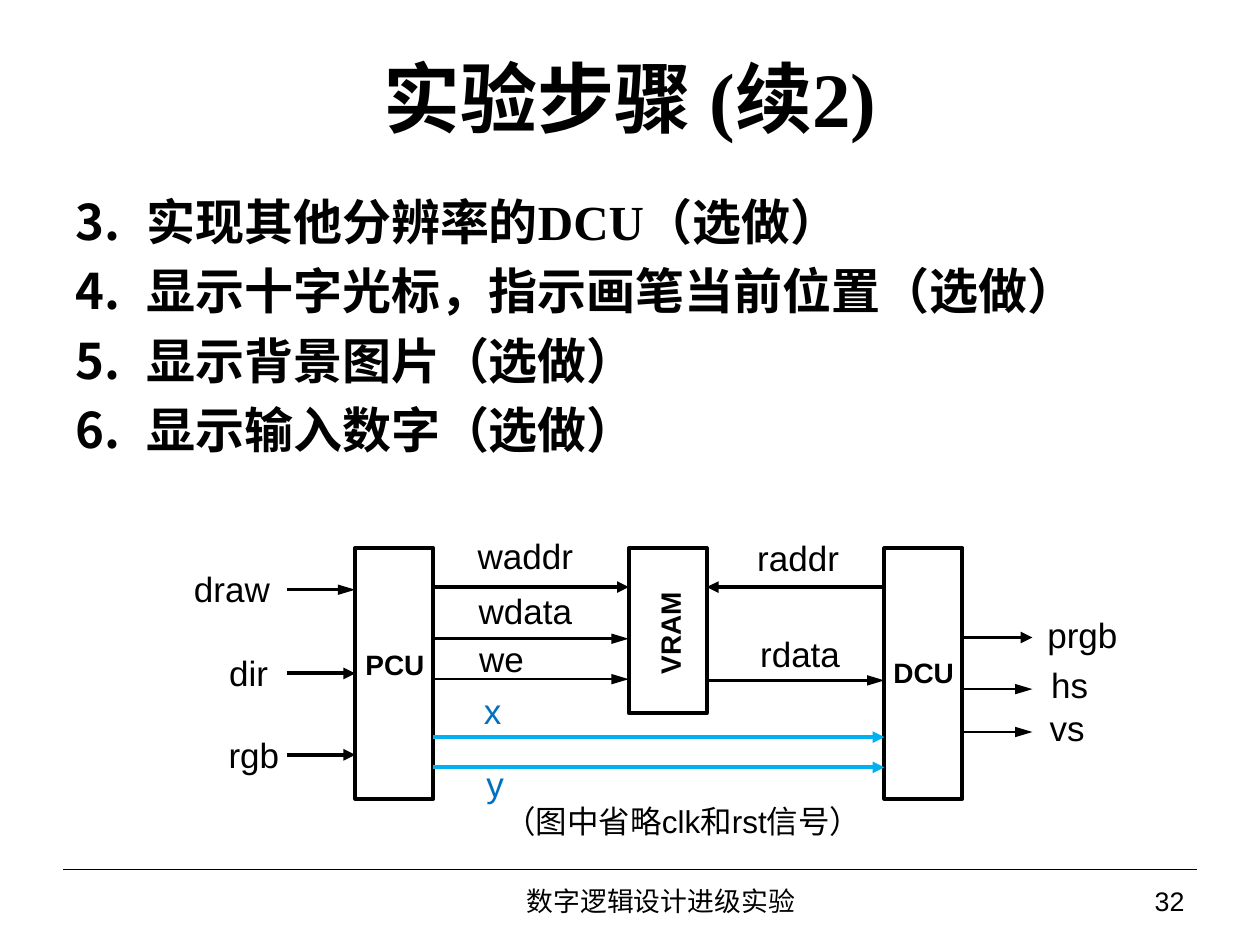
from lxml.etree import SubElement as Sub
from pptx import Presentation
from pptx.dml.color import RGBColor
from pptx.enum.shapes import MSO_CONNECTOR as Conn, MSO_SHAPE as Kind
from pptx.enum.text import MSO_ANCHOR as Anchor, MSO_AUTO_SIZE as Fit, PP_ALIGN as Align
from pptx.oxml.ns import qn
from pptx.util import Pt

BLACK, SKY, BLUE = "000000", "00B0F0", "0070C0"
SERIF, SANS = "Times New Roman", "Arial"

TITLE = "实验步骤 (续2)"
STEPS = [
    "实现其他分辨率的DCU（选做）",
    "显示十字光标，指示画笔当前位置（选做）",
    "显示背景图片（选做）",
    "显示输入数字（选做）",
]
FIRST = 3

TOP, WIDE = 313.2, 44.6
BLOCKS = {"PCU": (203, 143.3), "VRAM": (359.3, 94.3), "DCU": (505.4, 143.3)}
IN, OUT = 163.8, 590
pcu, vram, dcu = (left for left, high in BLOCKS.values())

WIRES = [
    (IN, pcu, 337, 1.5, BLACK),
    (IN, pcu, 431.3, 2.25, BLACK),
    (pcu + WIDE, vram, 335.5, 2.25, BLACK),
    (pcu + WIDE, vram, 365, 1.5, BLACK),
    (pcu + WIDE, vram, 388.1, 1.5, BLACK),
    (dcu, vram + WIDE, 335.5, 2.25, BLACK),
    (vram + WIDE, dcu, 388.8, 1.5, BLACK),
    (pcu + WIDE, dcu, 421.2, 2.25, SKY),
    (pcu + WIDE, dcu, 438.5, 2.25, SKY),
    (dcu + WIDE, OUT, 364.3, 2.25, BLACK),
    (dcu + WIDE, OUT, 393.8, 1.5, BLACK),
    (dcu + WIDE, OUT, 418.3, 1.5, BLACK),
]
LABELS = [
    ("draw", 108.5, 324, 48, BLACK),
    ("dir", 129.1, 372.2, 26, BLACK),
    ("rgb", 127.1, 419, 36, BLACK),
    ("waddr", 270.2, 305.3, 60, BLACK),
    ("wdata", 270.2, 337, 60, BLACK),
    ("we", 270.6, 364.3, 32, BLACK),
    ("x", 267.1, 393.8, 28.8, BLUE),
    ("y", 268.6, 435.6, 28.8, BLUE),
    ("raddr", 430.1, 306.7, 52, BLACK),
    ("rdata", 431.2, 361.4, 52, BLACK),
    ("prgb", 595.5, 350.6, 46, BLACK),
    ("hs", 596.9, 379.4, 28.8, BLACK),
    ("vs", 595.4, 403.9, 28.8, BLACK),
]
NAMES = [
    ("PCU", 201.6, 366.5, 48.2, 0),
    ("VRAM", 352.1, 348.5, 61.2, 270),
    ("DCU", 503.3, 370.8, 49, 0),
]


def rgb(code):
    return RGBColor.from_string(code)


def place(shape, left, top, wide, high):
    shape.left, shape.top, shape.width, shape.height = map(Pt, (left, top, wide, high))


def write(para, text, size, face, color=BLACK, bold=False):
    run = para.add_run()
    run.text = text
    font = run.font
    font.size, font.name, font.bold = Pt(size), face, bold
    font.color.rgb = rgb(color)


def label(text, left, top, wide, high, size, color=BLACK, bold=False,
          align=Align.CENTER, pad=0, lead=1.0):
    box = shapes.add_textbox(Pt(left), Pt(top), Pt(wide), Pt(high))
    frame = box.text_frame
    frame.word_wrap = False
    frame.vertical_anchor = Anchor.MIDDLE
    frame.margin_left = frame.margin_right = Pt(pad)
    frame.margin_top = frame.margin_bottom = Pt(0)
    para = frame.paragraphs[0]
    para.alignment = align
    para.line_spacing = lead
    write(para, text, size, SANS, color, bold)
    return box


def wire(start, end, y, width, color, arrow=True):
    line = shapes.add_connector(Conn.STRAIGHT, Pt(start), Pt(y), Pt(end), Pt(y))
    line.line.width = Pt(width)
    line.line.color.rgb = rgb(color)
    props = line._element.spPr
    if arrow:
        size = "lg" if width < 2 else "med"
        Sub(props.find(qn("a:ln")), qn("a:tailEnd"), type="triangle", len=size)
    Sub(props, qn("a:effectLst"))
    return line


def number(para):
    props = para._p.get_or_add_pPr()
    props.set("marL", str(Pt(40.5)))
    props.set("indent", str(-Pt(40.5)))
    Sub(Sub(props, qn("a:buClr")), qn("a:srgbClr"), val=BLACK)
    Sub(props, qn("a:buFontTx"))
    Sub(props, qn("a:buAutoNum"), type="arabicPeriod", startAt=str(FIRST))


deck = Presentation()
deck.slide_width, deck.slide_height = Pt(720), Pt(540)
slide = deck.slides.add_slide(deck.slide_layouts[1])
shapes = slide.shapes

wire(36, 684, 496.8, 0.75, BLACK, arrow=False)

head = shapes.title
place(head, 36, 21.6, 648, 67)
head.text_frame.vertical_anchor = Anchor.MIDDLE
head.text_frame.auto_size = Fit.NONE
para = head.text_frame.paragraphs[0]
para.alignment = Align.CENTER
write(para, TITLE, 44, SERIF, bold=True)

body = slide.placeholders[1]
place(body, 36, 105.8, 630, 178.6)
frame = body.text_frame
frame.auto_size = Fit.NONE
for i, step in enumerate(STEPS):
    para = frame.add_paragraph() if i else frame.paragraphs[0]
    number(para)
    para.space_before, para.space_after = Pt(0), Pt(6)
    write(para, step, 28, SERIF, bold=True)

rects = {}
for name, (left, high) in BLOCKS.items():
    rect = shapes.add_shape(Kind.RECTANGLE, Pt(left), Pt(TOP), Pt(WIDE), Pt(high))
    rect.shadow.inherit = False
    rect.fill.background()
    rect.line.width = Pt(2.25)
    rect.line.color.rgb = rgb(BLACK)
    rects[name] = rect

for row in WIRES:
    wire(*row)
mid = TOP + BLOCKS["PCU"][1] / 2
wire(IN, pcu, mid, 2.25, BLACK).end_connect(rects["PCU"], 1)

for text, left, top, wide, color in LABELS:
    label(text, left, top, wide, 24, 20, color)
for text, left, top, wide, turn in NAMES:
    label(text, left, top, wide, 26.6, 16, bold=True).rotation = turn
label("（图中省略clk和rst信号）", 270.2, 458.6, 240, 21, 18)

label("数字逻辑设计进级实验", 203.8, 502.6, 347.8, 26.6, 15.3, pad=7.2, lead=0.9)
label("32", 558, 502.6, 126, 26.6, 15.3, align=Align.RIGHT, pad=7.2, lead=0.9)

deck.save("out.pptx")
